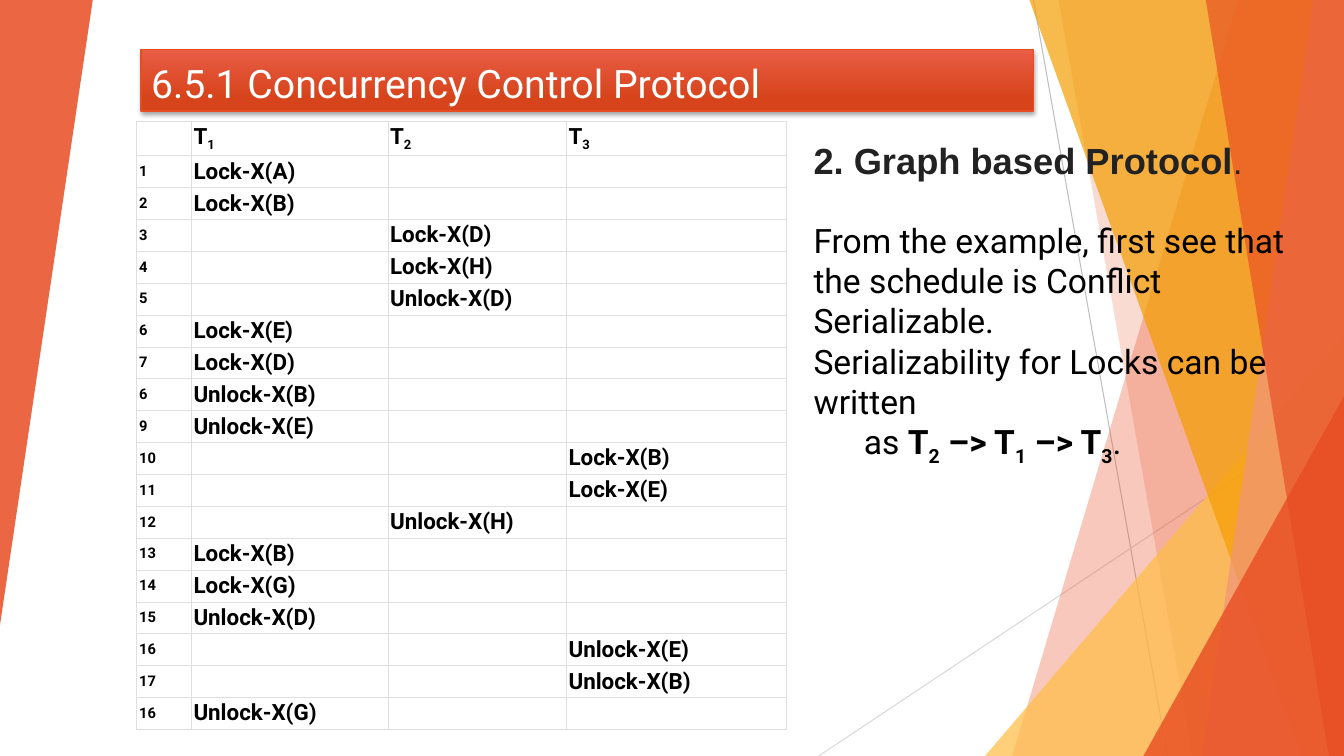
"""Build the slide on the graph based concurrency control protocol."""
from lxml.etree import SubElement
from pptx import Presentation
from pptx.dml.color import RGBColor
from pptx.enum.shapes import MSO_CONNECTOR, MSO_SHAPE
from pptx.enum.text import MSO_ANCHOR, PP_ALIGN
from pptx.oxml import parse_xml
from pptx.oxml.ns import nsdecls, qn
from pptx.util import Inches, Pt

W, H = 13.33, 7.5
COLORS = {
    "white": "FFFFFF", "black": "000000", "heading": "222222", "grid": "DFDFDF",
    "red": "E84C22", "salmon": "F1947A", "amber": "FFBD47", "orange": "F49D00",
    "bar_top": "E95D45", "bar_bottom": "D7441C", "line": "BFBFBF", "pale_line": "D9D9D9",
}

TITLE = "6.5.1 Concurrency Control Protocol"
HEADING = [("2. Graph based Protocol", "bold", 25.9), (".", "", 24.1)]
EXPLANATION = [
    [("From the example, first see that the schedule is Conflict Serializable.", "")],
    [("Serializability for Locks can be written", "")],
    [("as ", ""), ("T", "bold"), ("2", "bold sub"), (" –> T", "bold"), ("1", "bold sub"),
     (" –> T", "bold"), ("3", "bold sub"), (".", "")],
]
TRANSACTIONS = ["1", "2", "3"]
SCHEDULE = [
    ("1", 1, "Lock-X(A)"), ("2", 1, "Lock-X(B)"), ("3", 2, "Lock-X(D)"),
    ("4", 2, "Lock-X(H)"), ("5", 2, "Unlock-X(D)"), ("6", 1, "Lock-X(E)"),
    ("7", 1, "Lock-X(D)"), ("6", 1, "Unlock-X(B)"), ("9", 1, "Unlock-X(E)"),
    ("10", 3, "Lock-X(B)"), ("11", 3, "Lock-X(E)"), ("12", 2, "Unlock-X(H)"),
    ("13", 1, "Lock-X(B)"), ("14", 1, "Lock-X(G)"), ("15", 1, "Unlock-X(D)"),
    ("16", 3, "Unlock-X(E)"), ("17", 3, "Unlock-X(B)"), ("16", 1, "Unlock-X(G)"),
]
COLUMNS = [0.55, 1.95, 1.77, 2.18]
TABLE_LEFT, TABLE_TOP, TABLE_HEIGHT = 1.35, 1.2, 6.01

RAYS = [((10.25, 0), (11.58, H), "line"), ((W, 4.03), (8.12, H), "pale_line")]
FACETS = [
    ("band", 12.28, 10.04, "red", 30), ("band", 10.5, 11.83, "red", 20),
    ("corner", 9.77, 3.33, "amber", 72), ("band", 10.21, 12.91, "orange", 70),
    ("band", 13.03, 11.92, "salmon", 70), ("band", 11.96, 13.18, "red", 65),
    ("corner", 11.34, 3.93, "red", 80),
]


def rgb(name):
    return RGBColor.from_string(COLORS[name])


def paint(shape, color, alpha):
    shape.shadow.inherit = False
    shape.fill.solid()
    shape.fill.fore_color.rgb = rgb(color)
    shape.line.fill.background()
    solid = shape._element.spPr.find(qn("a:solidFill"))
    SubElement(solid[0], qn("a:alpha"), val=str(alpha * 1000))


def add_triangle(slide, left, top, width, height, alpha):
    triangle = slide.shapes.add_shape(
        MSO_SHAPE.ISOSCELES_TRIANGLE, *map(Inches, (left, top, width, height)))
    triangle.adjustments[0] = 1
    return triangle


def add_run(paragraph, text, style, size, font="Roboto", color="black"):
    run = paragraph.add_run()
    run.text = text
    run.font.name, run.font.size = font, Pt(size)
    run.font.bold = "bold" in style
    run.font.color.rgb = rgb(color)
    if "sub" in style:
        run._r.get_or_add_rPr().set("baseline", "-25000")


def add_backdrop(slide):
    for start, end, color in RAYS:
        ray = slide.shapes.add_connector(MSO_CONNECTOR.STRAIGHT, *map(Inches, start + end))
        ray.line.color.rgb = rgb(color)
        ray.line.width = Pt(0.75)
        SubElement(ray._element.spPr, qn("a:effectLst"))
    for kind, first, second, color, alpha in FACETS:
        if kind == "corner":
            facet = add_triangle(slide, first, second, W - first, H - second, alpha)
        else:
            outline = slide.shapes.build_freeform(Inches(first), 0)
            corners = [(W, 0), (W, H), (second, H)]
            outline.add_line_segments([(Inches(x), Inches(y)) for x, y in corners], close=True)
            facet = outline.convert_to_shape()
        paint(facet, color, alpha)
    wedge = add_triangle(slide, 0, 0, 0.92, 6.2, 85)
    wedge.rotation = 180
    paint(wedge, "red", 85)


def add_title(slide):
    bar = slide.shapes.add_shape(
        MSO_SHAPE.RECTANGLE, *map(Inches, (1.4, 0.49, 8.85, 0.61)))
    bar.fill.gradient()
    bar.fill.gradient_angle = 270
    for stop, color, position in zip(
            bar.fill.gradient_stops, ("bar_top", "bar_bottom"), (0, 0.78)):
        stop.color.rgb = rgb(color)
        stop.position = position
    bar.line.color.rgb = rgb("red")
    bar.line.width = Pt(1)
    bar._element.spPr.append(parse_xml(
        f'<a:effectLst {nsdecls("a")}><a:outerShdw blurRad="38100" dist="25400" '
        f'dir="5400000" rotWithShape="0"><a:srgbClr val="{COLORS["black"]}">'
        '<a:alpha val="35000"/></a:srgbClr></a:outerShdw></a:effectLst>'))
    bar.text_frame.vertical_anchor = MSO_ANCHOR.BOTTOM
    bar.text_frame.paragraphs[0].alignment = PP_ALIGN.LEFT
    add_run(bar.text_frame.paragraphs[0], TITLE, "", 28, color="white")


def add_text_frame(slide, *box):
    frame = slide.shapes.add_textbox(*map(Inches, box)).text_frame
    frame.word_wrap = True
    return frame


def add_explanation(slide):
    heading = add_text_frame(slide, 7.97, 1.32, 4.78, 0.71).paragraphs[0]
    heading.alignment = PP_ALIGN.JUSTIFY
    for text, style, size in HEADING:
        add_run(heading, text, style, size, "Arial", "heading")
    body = add_text_frame(slide, 7.97, 2.13, 5.02, 2.52)
    for index, fragments in enumerate(EXPLANATION):
        paragraph = body.add_paragraph() if index else body.paragraphs[0]
        for text, style in fragments:
            add_run(paragraph, text, style, 24)
    body.paragraphs[-1]._p.get_or_add_pPr().set("marL", str(Inches(0.5)))


def style_cell(cell, side_margin):
    cell.vertical_anchor = MSO_ANCHOR.MIDDLE
    cell.margin_left = cell.margin_right = Inches(side_margin)
    cell.margin_top = cell.margin_bottom = Inches(0.02)
    properties = cell._tc.get_or_add_tcPr()
    for side in ("lnL", "lnR", "lnT", "lnB"):
        border = SubElement(properties, qn(f"a:{side}"), w=str(Pt(0.23)))
        SubElement(SubElement(border, qn("a:solidFill")), qn("a:srgbClr"), val=COLORS["grid"])
    cell.fill.solid()
    cell.fill.fore_color.rgb = rgb("white")
    paragraph = cell.text_frame.paragraphs[0]
    if not paragraph.runs:
        SubElement(paragraph._p, qn("a:endParaRPr"), sz="1050")


def add_schedule(slide):
    row_count = len(SCHEDULE) + 1
    table = slide.shapes.add_table(
        row_count, len(COLUMNS),
        *map(Inches, (TABLE_LEFT, TABLE_TOP, sum(COLUMNS), TABLE_HEIGHT))).table
    table.first_row = table.horz_banding = False
    for column, width in zip(table.columns, COLUMNS):
        column.width = Inches(width)
    for row in table.rows:
        row.height = Inches(TABLE_HEIGHT / row_count)
    for column, number in enumerate(TRANSACTIONS, 1):
        paragraph = table.cell(0, column).text_frame.paragraphs[0]
        add_run(paragraph, "T", "bold", 16)
        add_run(paragraph, number, "bold sub", 16)
    for row, (step, column, operation) in enumerate(SCHEDULE, 1):
        add_run(table.cell(row, 0).text_frame.paragraphs[0], step, "bold", 10.5)
        add_run(table.cell(row, column).text_frame.paragraphs[0], operation, "bold", 16)
    for row in table.rows:
        for column, cell in enumerate(row.cells):
            style_cell(cell, 0.02 if column else 0.03)


def main():
    deck = Presentation()
    deck.slide_width, deck.slide_height = Inches(W), Inches(H)
    slide = deck.slides.add_slide(deck.slide_layouts[6])
    add_backdrop(slide)
    add_title(slide)
    add_explanation(slide)
    add_schedule(slide)
    deck.save("out.pptx")


if __name__ == "__main__":
    main()
